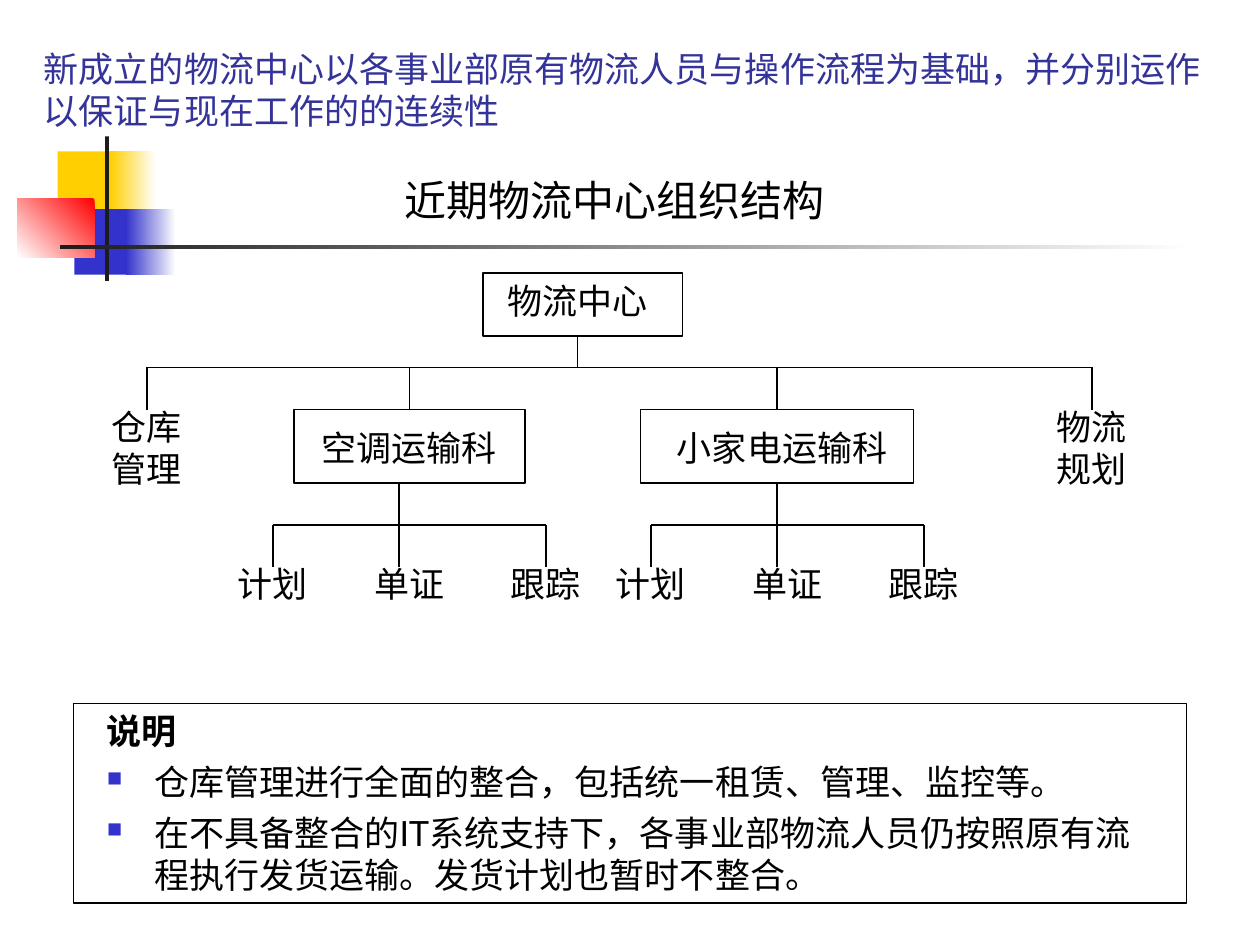
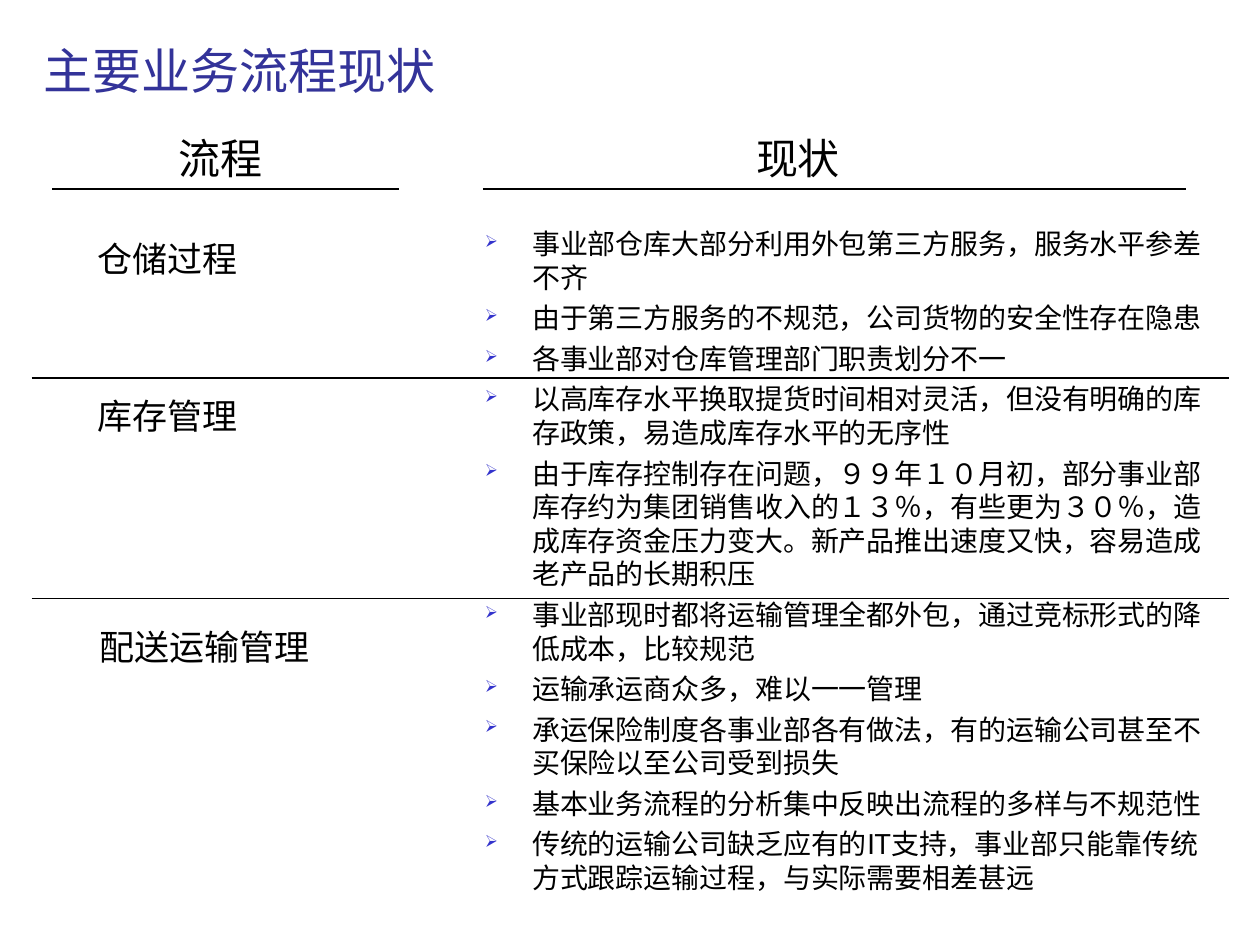
from dataclasses import dataclass
from typing import NamedTuple, Optional

from lxml import etree
from pptx import Presentation
from pptx.dml.color import RGBColor
from pptx.enum import lang, shapes, text
from pptx.oxml import ns
from pptx.util import Pt


@dataclass(frozen=True)
class Theme:
    face: str = "Roboto"
    ink: str = "000000"
    title: str = "333399"
    blue: str = "3333CC"
    gold: str = "FFCF01"
    red: str = "FF0000"
    dark: str = "1C1C1C"
    white: str = "FFFFFF"
    big: int = 28
    head: int = 24
    label: int = 20
    small: int = 16
    rule: float = 0.75
    hang: int = 27
    bullet: int = 60


T = Theme()


class Box(NamedTuple):
    left: float
    top: float
    width: float
    height: float


class Block(NamedTuple):
    """A decorative block; with an end colour it fades from start to end."""
    box: Box
    start: str
    end: Optional[str] = None
    angle: int = 180


class Label(NamedTuple):
    words: str
    box: Box
    size: int = T.label
    frame: Optional[Box] = None


class Item(NamedTuple):
    words: str
    mark: str = ""
    bold: bool = False


DECOR = [
    Block(Box(33, 86.5, 34.5, 37.5), T.gold),
    Block(Box(63, 86.5, 26, 37.5), T.white, T.gold),
    Block(Box(42.5, 119.5, 33, 37.5), T.blue),
    Block(Box(72, 119.5, 28.5, 37.5), T.white, T.blue),
    Block(Box(10, 113.5, 44, 33.5), T.red, T.white, 225),
    Block(Box(60, 78, 2.25, 82.5), T.dark),
    Block(Box(34.5, 140.25, 648, 2.25), T.white, T.dark),
]

CHART = [
    Label("近期物流中心组织结构", Box(192, 96, 318, 36), T.head),
    Label("物流中心", Box(270, 156, 120, 31.5), frame=Box(276, 156, 114, 36)),
    Label("空调运输科", Box(174, 240, 120, 31.5), frame=Box(168, 234, 132, 42)),
    Label("小家电运输科", Box(372, 240, 150, 31.5), frame=Box(366, 234, 156, 42)),
    Label("仓库管理", Box(54, 228, 60, 55.5)),
    Label("物流规划", Box(588, 228, 72, 55.5)),
]
DUTIES = ["计划", "单证", "跟踪"]
NOTES = [
    Item("说明", bold=True),
    Item("仓库管理进行全面的整合，包括统一租赁、管理、监控等。", "■"),
    Item("在不具备整合的IT系统支持下，各事业部物流人员仍按照原有流程执行发货运输。"
         "发货计划也暂时不整合。", "■"),
]

STEPS = [
    Label("流程", Box(72, 72, 108, 36), T.head),
    Label("现状", Box(402, 72, 108, 36), T.head),
    Label("仓储过程", Box(42, 132, 108, 31.5)),
    Label("库存管理", Box(42, 222, 108, 31.5)),
    Label("配送运输管理", Box(42, 354, 150, 31.5)),
]
STATUS = [
    "事业部仓库大部分利用外包第三方服务，服务水平参差不齐",
    "由于第三方服务的不规范，公司货物的安全性存在隐患",
    "各事业部对仓库管理部门职责划分不一",
    "以高库存水平换取提货时间相对灵活，但没有明确的库存政策，易造成库存水平的无序性",
    "由于库存控制存在问题，９９年１０月初，部分事业部库存约为集团销售收入的１３％，"
    "有些更为３０％，造成库存资金压力变大。新产品推出速度又快，容易造成老产品的长期积压",
    "事业部现时都将运输管理全都外包，通过竞标形式的降低成本，比较规范",
    "运输承运商众多，难以一一管理",
    "承运保险制度各事业部各有做法，有的运输公司甚至不买保险以至公司受到损失",
    "基本业务流程的分析集中反映出流程的多样与不规范性",
    "传统的运输公司缺乏应有的IT支持，事业部只能靠传统方式跟踪运输过程，与实际需要相差甚远",
]


def rgb(code: str) -> RGBColor:
    return RGBColor.from_string(code)


def rect(slide, box: Box):
    shape = slide.shapes.add_shape(shapes.MSO_SHAPE.RECTANGLE, *map(Pt, box))
    shape.shadow.inherit = False
    return shape


def block(slide, part: Block) -> None:
    shape = rect(slide, part.box)
    shape.line.fill.background()
    if part.end is None:
        shape.fill.solid()
        shape.fill.fore_color.rgb = rgb(part.start)
        return
    shape.fill.gradient()
    shape.fill.gradient_angle = part.angle
    for stop, code in zip(shape.fill.gradient_stops, (part.start, part.end)):
        stop.color.rgb = rgb(code)


def frame(slide, box: Box) -> None:
    shape = rect(slide, box)
    shape.fill.background()
    shape.line.color.rgb = rgb(T.ink)
    shape.line.width = Pt(T.rule)


def line(slide, x1: float, y1: float, x2: float, y2: float) -> None:
    rule = slide.shapes.add_connector(
        shapes.MSO_CONNECTOR.STRAIGHT, Pt(x1), Pt(y1), Pt(x2), Pt(y2))
    rule.line.color.rgb = rgb(T.ink)
    rule.line.width = Pt(T.rule)
    etree.SubElement(rule._element.spPr, ns.qn("a:effectLst"))


def textbox(slide, box: Box):
    body = slide.shapes.add_textbox(*map(Pt, box)).text_frame
    body.word_wrap = True
    return body


def write(para, words: str, size: int, color: str = T.ink, bold: bool = False) -> None:
    run = para.add_run()
    run.text = words
    font = run.font
    font.size, font.bold, font.name = Pt(size), bold, T.face
    font.color.rgb = rgb(color)
    font.language_id = lang.MSO_LANGUAGE_ID.SIMPLIFIED_CHINESE
    etree.SubElement(run._r.get_or_add_rPr(), ns.qn("a:ea"), typeface=T.face)


def title(slide, words: str, size: int, box: Box) -> None:
    body = textbox(slide, box)
    body.vertical_anchor = text.MSO_ANCHOR.BOTTOM
    write(body.paragraphs[0], words, size, T.title)


def label(slide, part: Label) -> None:
    if part.frame:
        frame(slide, part.frame)
    para = textbox(slide, part.box).paragraphs[0]
    para.alignment = text.PP_ALIGN.CENTER
    write(para, part.words, part.size)


def hang(para, mark: str) -> None:
    """Give the paragraph a hanging indent and, if there is one, its bullet."""
    props = para._p.get_or_add_pPr()
    props.set("marL", str(Pt(T.hang)))
    props.set("indent", str(-Pt(T.hang)))
    if mark:
        tint = etree.SubElement(props, ns.qn("a:buClr"))
        etree.SubElement(tint, ns.qn("a:srgbClr"), val=T.blue)
        etree.SubElement(props, ns.qn("a:buSzPct"), val=str(T.bullet * 1000))
        etree.SubElement(props, ns.qn("a:buChar"), char=mark)


def bullets(slide, box: Box, items: list[Item], size: int) -> None:
    body = textbox(slide, box)
    for i, item in enumerate(items):
        para = body.add_paragraph() if i else body.paragraphs[0]
        hang(para, item.mark)
        if i:
            para.space_before = Pt(size / 4)
        write(para, item.words, size, bold=item.bold)


def fork(slide, top: float, bar: float, foot: float, stem: float, drops: list[float]) -> None:
    """Join a stem from above to the drops below through one bar."""
    line(slide, drops[0], bar, drops[-1], bar)
    line(slide, stem, top, stem, bar)
    for x in drops:
        line(slide, x, bar, x, foot)


def team(slide, left: float) -> None:
    """Draw the duties under one transport section."""
    stem = left + 72
    fork(slide, 276, 300, 324, stem, [left, stem, left + 156])
    for i, duty in enumerate(DUTIES):
        label(slide, Label(duty, Box(left - 30 + 78 * i, 318, 60, 31.5)))


def structure(slide) -> None:
    for part in DECOR:
        block(slide, part)
    title(slide, "新成立的物流中心以各事业部原有物流人员与操作流程为基础，"
          "并分别运作以保证与现在工作的的连续性", T.label, Box(18, 18, 684, 60.5))
    bullets(slide, Box(54, 402, 612, 117), NOTES, T.label)
    for part in CHART:
        label(slide, part)
    fork(slide, 192, 210, 234, 330, [84, 234, 444, 624])
    for left in (156, 372):
        team(slide, left)
    frame(slide, Box(42, 402, 636, 114))


def process(slide) -> None:
    title(slide, "主要业务流程现状", T.big, Box(18, 18, 245.5, 42.5))
    bullets(slide, Box(270, 126, 429, 393), [Item(s, "➢") for s in STATUS], T.small)
    for part in STEPS:
        label(slide, part)
    for left, right, y in ((30, 228, 108), (276, 678, 108), (18, 702, 216), (18, 702, 342)):
        line(slide, left, y, right, y)


def main() -> None:
    deck = Presentation()
    deck.slide_width, deck.slide_height = Pt(720), Pt(540)
    for draw in (structure, process):
        draw(deck.slides.add_slide(deck.slide_layouts[6]))
    deck.save("out.pptx")


if __name__ == "__main__":
    main()
